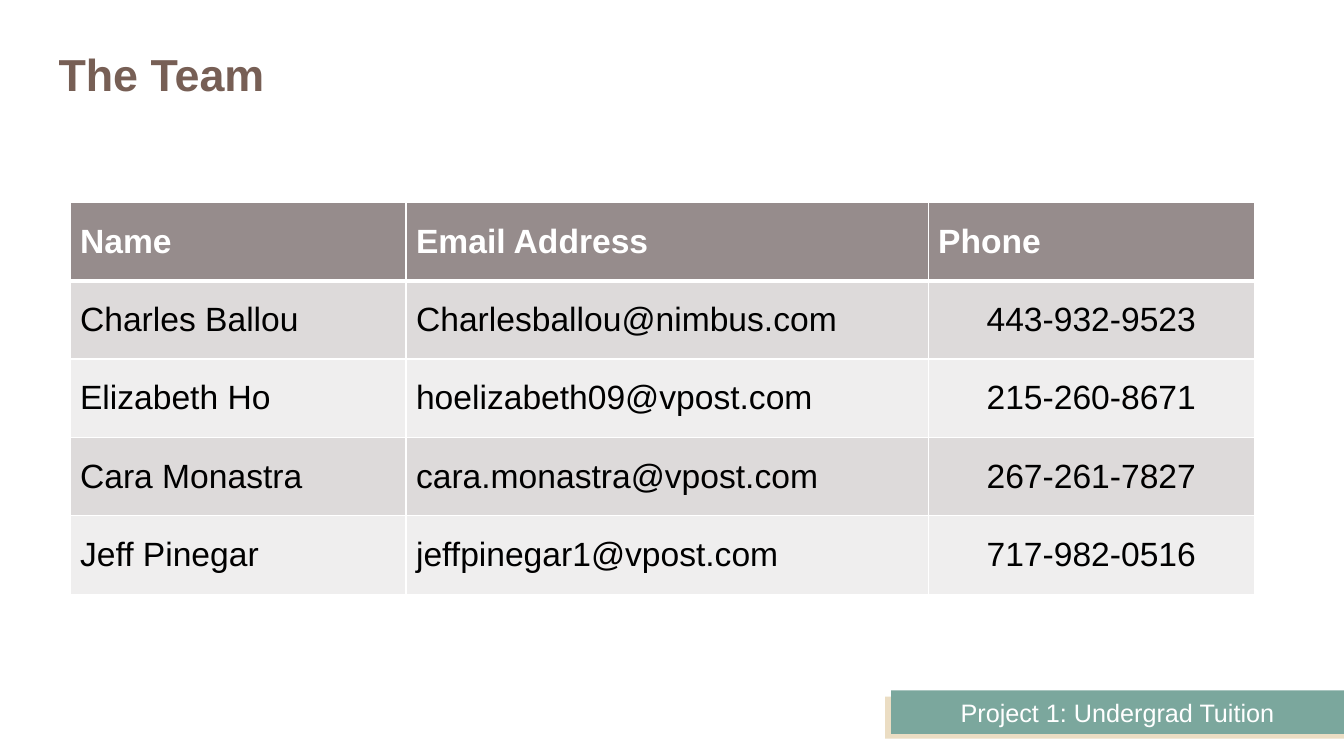
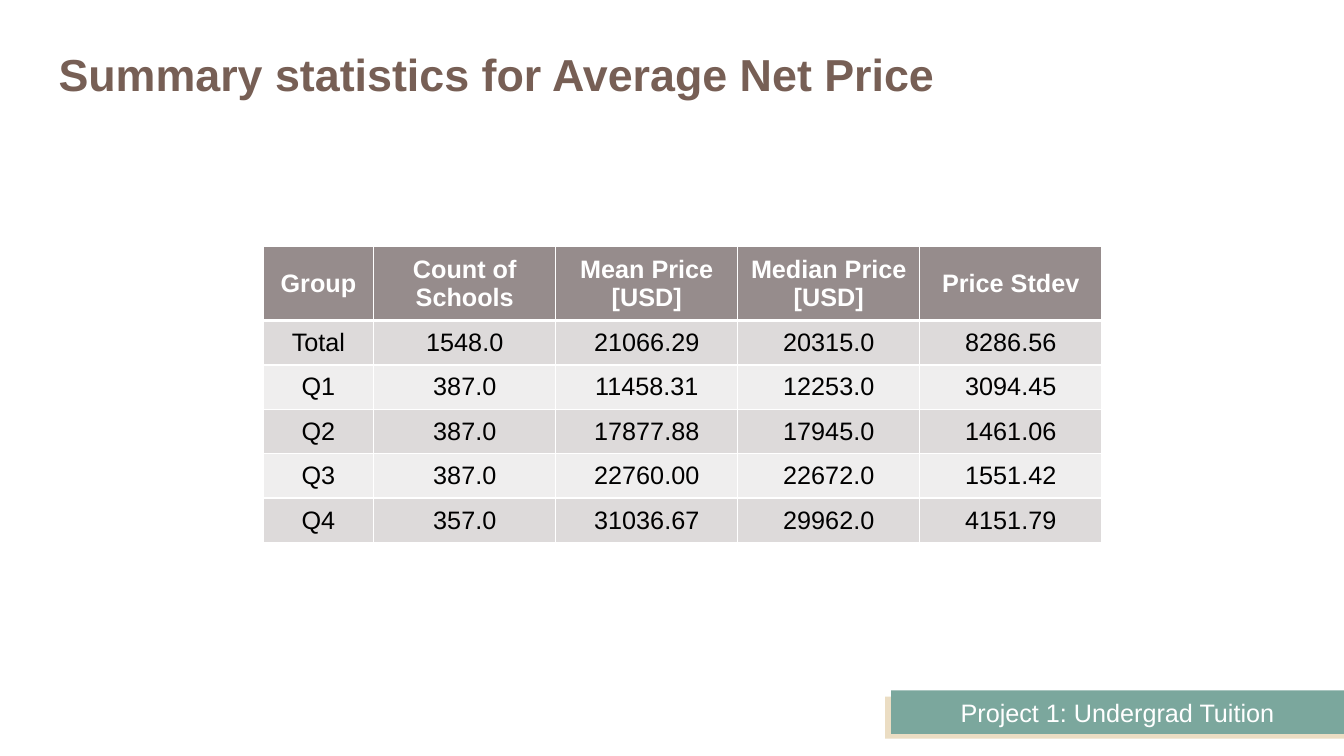
from typing import NamedTuple

from lxml.etree import SubElement
from pptx import Presentation
from pptx.dml.color import RGBColor
from pptx.enum.shapes import MSO_SHAPE as Shape
from pptx.enum.text import MSO_ANCHOR as Anchor, MSO_AUTO_SIZE as AutoSize, PP_ALIGN as Align
from pptx.oxml.ns import qn
from pptx.util import Pt

WHITE = RGBColor(0xFF, 0xFF, 0xFF)
BLACK = RGBColor(0, 0, 0)
BROWN = RGBColor(0x77, 0x5F, 0x55)
SAND = RGBColor(0xEB, 0xDD, 0xC3)
GREEN = RGBColor(0x7B, 0xA7, 0x9D)
TAUPE = RGBColor(0x96, 0x8C, 0x8C)
DARK_BAND = RGBColor(0xDD, 0xDA, 0xDA)
LIGHT_BAND = RGBColor(0xEF, 0xEE, 0xEE)

FONT = "Arial"
FOOTER = "Project 1: Undergrad Tuition"


class Box(NamedTuple):
    """A rectangle in points."""
    left: float
    top: float
    width: float
    height: float

    def lengths(self):
        """Return the four sides as lengths."""
        return [Pt(side) for side in self]


PAGE_BOX = Box(0, 0, 960, 540)
TITLE_BOX = Box(41.8, 15.1, 877, 79.2)
FOOTER_BOX = Box(632.2, 493.2, 327.8, 34.5)

TEAM = [
    ("Name", "Email Address", "Phone"),
    ("Charles Ballou", "Charlesballou@nimbus.com", "443-932-9523"),
    ("Elizabeth Ho", "hoelizabeth09@vpost.com", "215-260-8671"),
    ("Cara Monastra", "cara.monastra@vpost.com", "267-261-7827"),
    ("Jeff Pinegar", "jeffpinegar1@vpost.com", "717-982-0516"),
]
PRICES = [
    ("Group", "Count of Schools", "Mean Price [USD]", "Median Price [USD]", "Price Stdev"),
    ("Total", "1548.0", "21066.29", "20315.0", "8286.56"),
    ("Q1", "387.0", "11458.31", "12253.0", "3094.45"),
    ("Q2", "387.0", "17877.88", "17945.0", "1461.06"),
    ("Q3", "387.0", "22760.00", "22672.0", "1551.42"),
    ("Q4", "357.0", "31036.67", "29962.0", "4151.79"),
]


def assign(target, values):
    """Set every attribute named in a dict."""
    for name, value in values.items():
        setattr(target, name, value)


def write(frame, text, size, color, bold=False, align=Align.LEFT):
    """Write one formatted paragraph into a text frame."""
    para = frame.paragraphs[0]
    para.alignment = align
    span = para.add_run()
    span.text = text
    assign(span.font, {"name": FONT, "size": Pt(size), "bold": bold})
    span.font.color.rgb = color
    return para


def add_band(page, box, color):
    """Add a plain filled rectangle."""
    band = page.shapes.add_shape(Shape.RECTANGLE, *box.lengths())
    band.shadow.inherit = False
    band.fill.solid()
    band.fill.fore_color.rgb = color
    band.line.fill.background()
    return band


def add_footer(page, box):
    """Add the green footer band over its offset sand band."""
    add_band(page, Box(box.left, box.top + 4.3, box.width, box.height - 4.3), SAND)
    band = add_band(page, Box(box.left + 4.3, box.top, box.width - 4.3, box.height - 3.5), GREEN)
    band.text_frame.vertical_anchor = Anchor.MIDDLE
    write(band.text_frame, FOOTER, 18, WHITE, align=Align.CENTER)


def place_title(page, box, text):
    """Move, format and fill the title placeholder."""
    title = page.shapes.title
    assign(title, dict(zip(("left", "top", "width", "height"), box.lengths())))
    frame = title.text_frame
    assign(frame, {
        "margin_left": 0, "margin_top": 0, "margin_right": 0, "margin_bottom": 0,
        "vertical_anchor": Anchor.MIDDLE, "auto_size": AutoSize.NONE, "word_wrap": True,
    })
    write(frame, text, 32, BROWN, bold=True).line_spacing = 0.9


def add_borders(cell, widths):
    """Draw white cell borders from a dict of side and width."""
    props = cell._tc.get_or_add_tcPr()
    for side, width in widths.items():
        line = SubElement(props, qn(f"a:ln{side}"), w=str(Pt(width)))
        fill = SubElement(line, qn("a:solidFill"))
        SubElement(fill, qn("a:srgbClr"), val=str(WHITE))


def add_grid(page, box, rows, widths, header_height, size, aligns, margins):
    """Add a table with a dark header and banded rows."""
    grid = page.shapes.add_table(len(rows), len(widths), *box.lengths()).table
    grid.horz_banding = False
    for column, width in zip(grid.columns, widths):
        column.width = Pt(width)
    body_height = (box.height - header_height) / (len(rows) - 1)
    for r, texts in enumerate(rows):
        header = r == 0
        grid.rows[r].height = Pt(header_height if header else body_height)
        band = TAUPE if header else DARK_BAND if r % 2 else LIGHT_BAND
        for c, text in enumerate(texts):
            cell = grid.cell(r, c)
            add_borders(cell, {"L": 1, "R": 1, "T": 3 if r == 1 else 1, "B": 3 if header else 1})
            cell.fill.solid()
            cell.fill.fore_color.rgb = band
            assign(cell, {"vertical_anchor": Anchor.MIDDLE, **margins})
            write(cell.text_frame, text, size, WHITE if header else BLACK, header,
                  aligns[0 if header else 1][c])


def add_page(deck, title):
    """Add a titled slide with the shared footer."""
    page = deck.slides.add_slide(deck.slide_layouts[5])
    page.background.fill.solid()
    page.background.fill.fore_color.rgb = WHITE
    add_footer(page, FOOTER_BOX)
    place_title(page, TITLE_BOX, title)
    return page


def add_team_page(deck):
    """Add the slide that lists the team."""
    page = add_page(deck, "The Team")
    aligns = [[Align.LEFT] * 3, [Align.LEFT, Align.LEFT, Align.CENTER]]
    add_grid(page, Box(50, 144.5, 846, 280), TEAM, [240, 373, 233], 56, 24, aligns, {})


def add_prices_page(deck):
    """Add the slide of summary statistics."""
    page = add_page(deck, "Summary statistics for Average Net Price")
    margins = {"margin_left": Pt(6), "margin_right": Pt(6),
               "margin_top": Pt(3), "margin_bottom": Pt(3)}
    add_grid(page, Box(188, 176, 599, 211.5), PRICES, [79] + [130] * 4, 53, 18,
             [[Align.CENTER] * 5] * 2, margins)


def main():
    """Build and save the deck."""
    deck = Presentation()
    assign(deck, {"slide_width": Pt(PAGE_BOX.width), "slide_height": Pt(PAGE_BOX.height)})
    add_team_page(deck)
    add_prices_page(deck)
    deck.save("out.pptx")


if __name__ == "__main__":
    main()
